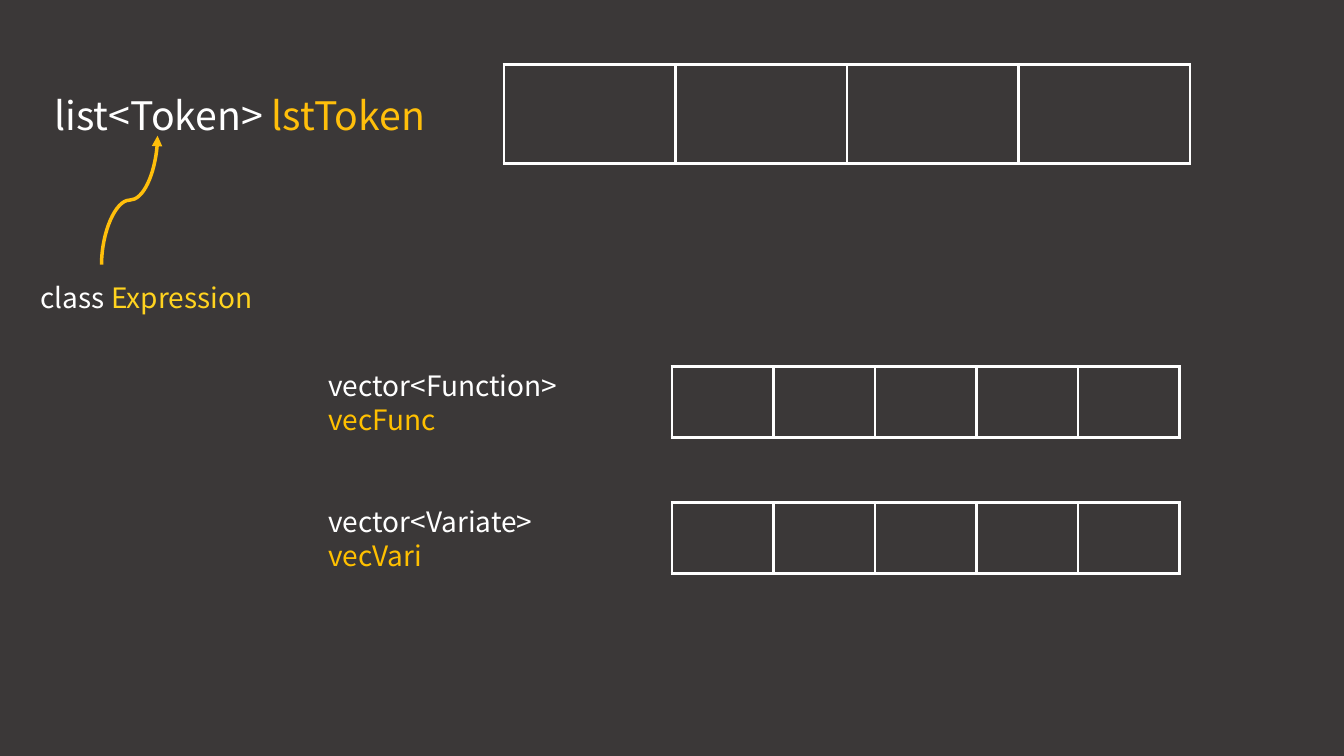
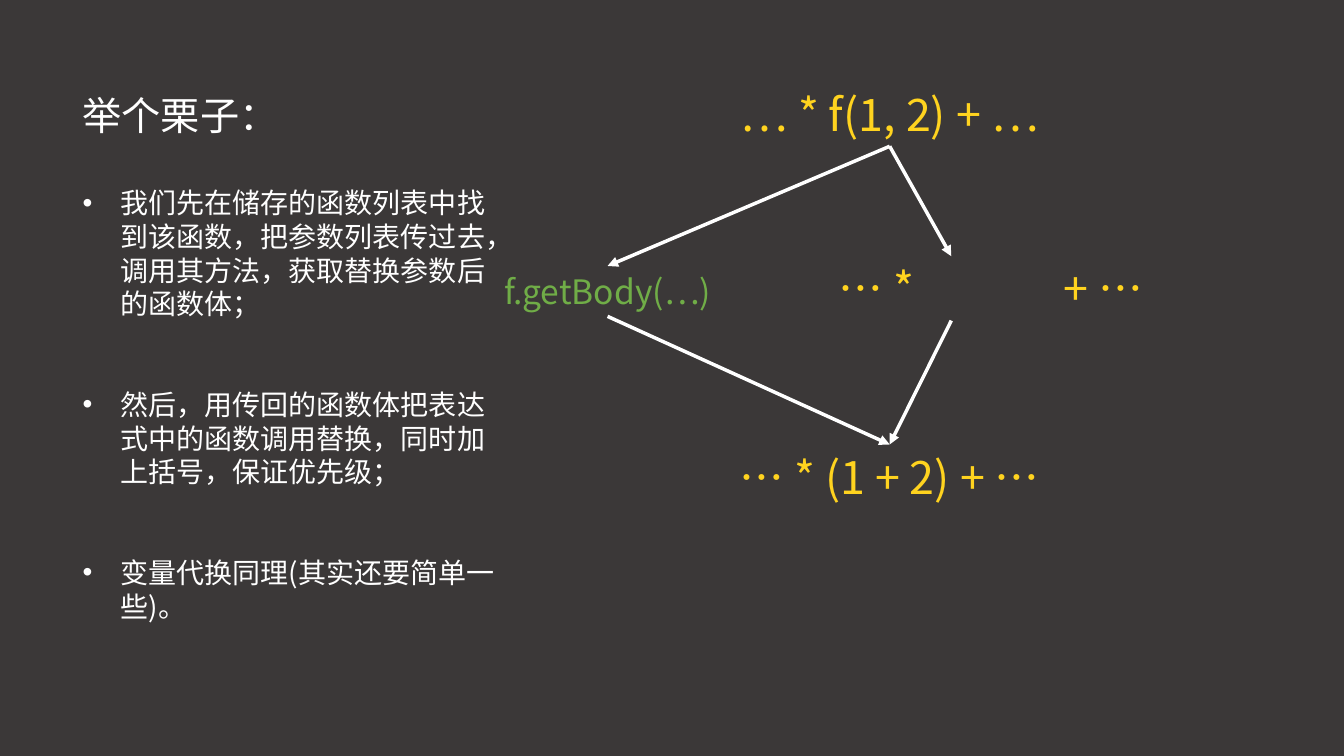
"""Build two slides on token storage and function replacement."""
import lxml.etree
import pptx
import pptx.dml.color
import pptx.enum.dml
import pptx.enum.lang
import pptx.enum.shapes
import pptx.enum.text
import pptx.oxml.ns
import pptx.util

Pt = pptx.util.Pt
RGB = pptx.dml.color.RGBColor
qn = pptx.oxml.ns.qn
ALIGN = pptx.enum.text.PP_ALIGN
LANG = pptx.enum.lang.MSO_LANGUAGE_ID
LINK = pptx.enum.shapes.MSO_CONNECTOR

DARK = RGB(0x3B, 0x38, 0x38)
WHITE = RGB(0xFF, 0xFF, 0xFF)
AMBER = RGB(0xFF, 0xBF, 0x0B)
GOLD = RGB(0xFF, 0xC0, 0x00)
LEMON = RGB(0xFF, 0xD3, 0x1F)
GREEN = RGB(0x70, 0xAD, 0x47)

FACE = "Noto Sans CJK SC"
LEADING = 1.2
INDENT = 27
FORMULA = {"size": Pt(32), "language_id": LANG.SIMPLIFIED_CHINESE}
STEPS = [
    "我们先在储存的函数列表中找到该函数，把参数列表传过去，调用其方法，获取替换参数后的函数体；",
    "然后，用传回的函数体把表达式中的函数调用替换，同时加上括号，保证优先级；",
    "变量代换同理(其实还要简单一些)。",
]


def apply(target, values):
    for name, value in values.items():
        setattr(target, name, value)


def add_node(parent, tag, **values):
    node = lxml.etree.SubElement(parent, qn(tag))
    for name, value in values.items():
        node.set(name, str(value))
    return node


def add_run(para, text, color, font):
    run = para.add_run()
    run.text = text
    apply(run.font, {"name": FACE, **font})
    run.font.color.rgb = color
    add_node(run.font._element, "a:ea", typeface=FACE)
    para.line_spacing = Pt(round(font["size"].pt * LEADING, 1))


def add_text(slide, area, runs, font, align=ALIGN.LEFT):
    box = slide.shapes.add_textbox(*map(Pt, area))
    box.text_frame.word_wrap = True
    para = box.text_frame.paragraphs[0]
    para.alignment = align
    for text, color in runs:
        add_run(para, text, color, font)
    return box


def add_bullet(box, text, gap, font):
    para = box.text_frame.add_paragraph()
    add_run(para, text, WHITE, font)
    para.space_before = Pt(gap)
    props = para._p.get_or_add_pPr()
    props.set("marL", str(Pt(INDENT)))
    props.set("indent", str(Pt(-INDENT)))
    add_node(props, "a:buFont", typeface="Arial")
    add_node(props, "a:buChar", char="•")


def set_tab(box, left, stop):
    props = box.text_frame.paragraphs[0]._p.get_or_add_pPr()
    props.set("marL", str(Pt(left)))
    tabs = add_node(props, "a:tabLst")
    add_node(tabs, "a:tab", pos=Pt(stop), algn="l")


def add_border(cell):
    props = cell._tc.get_or_add_tcPr()
    for place, side in enumerate("LRTB"):
        line = add_node(props, "a:ln" + side, w=Pt(2.25))
        fill = add_node(line, "a:solidFill")
        add_node(fill, "a:srgbClr", val=WHITE)
        props.insert(place, line)


def add_cells(slide, count, area):
    left, top, width, height = map(Pt, area)
    table = slide.shapes.add_table(1, count, left, top, width, height).table
    apply(table, {"first_row": False, "horz_banding": False})
    for cell in table.iter_cells():
        cell.fill.background()
        add_border(cell)


def add_arrow(slide, kind, ends, color):
    arrow = slide.shapes.add_connector(kind, *map(Pt, ends))
    arrow.line.color.rgb = color
    arrow.line.width = Pt(2.5)
    props = arrow._element.spPr
    add_node(props.find(qn("a:ln")), "a:tailEnd", type="triangle")
    add_node(props, "a:effectLst")
    return arrow


def join(slide, start, end):
    arrow = add_arrow(slide, LINK.STRAIGHT, (0, 0, 0, 0), WHITE)
    arrow.begin_connect(start, 2)
    arrow.end_connect(end, 0)


def draw_store(slide):
    large, small = {"size": Pt(28)}, {"size": Pt(20)}
    add_cells(slide, 4, (360, 46, 490, 71))
    add_text(slide, (32, 62, 313, 41),
             [("list<Token> ", WHITE), ("lstToken", AMBER)], large)
    add_text(slide, (22, 196.5, 221, 32),
             [("class ", WHITE), ("Expression", LEMON)], small)
    curve = add_arrow(slide, LINK.CURVE, (138.5, 163, 46.5, 123), AMBER)
    curve._element.spPr.find(qn("a:xfrm")).set("rot", "5400000")
    rows = [("vector<Function> ", "vecFunc"), ("vector<Variate> ", "vecVari")]
    for row, (kind, name) in enumerate(rows):
        top = 260 + 97 * row
        add_text(slide, (227.5, top, 221, 55),
                 [(kind, WHITE), (name, GOLD)], small)
        add_cells(slide, 5, (480, top + 2, 362.5, 50.5))


def draw_swap(slide):
    body = add_text(slide, (52, 62, 311, 400),
                    [("举个栗子：", WHITE)], {"size": Pt(28)})
    for step, text in enumerate(STEPS):
        add_bullet(body, text, 48 if step else 33.6, {"size": Pt(20)})
    latin = {"language_id": LANG.ENGLISH_US}
    call = add_text(slide, (480, 58.5, 311, 46), [("… * f(1, 2) + …", LEMON)],
                    {**FORMULA, **latin}, ALIGN.CENTER)
    fetch = add_text(slide, (332.5, 190, 203, 36), [("f.getBody(…)", GREEN)],
                     {"size": Pt(24), **latin}, ALIGN.CENTER)
    hole = add_text(slide, (524, 183, 311, 46), [("… *\t+ …", LEMON)], FORMULA)
    set_tab(hole, 68, 171)
    result = add_text(slide, (480, 317.5, 311, 46),
                      [("… * (1 + 2) + …", LEMON)], FORMULA, ALIGN.CENTER)
    for middle in (fetch, hole):
        join(slide, call, middle)
        join(slide, middle, result)


def main():
    deck = pptx.Presentation()
    apply(deck, {"slide_width": Pt(960), "slide_height": Pt(540)})
    fill = deck.slide_master.background.fill
    fill.solid()
    fill.fore_color.rgb = DARK
    for draw in (draw_store, draw_swap):
        draw(deck.slides.add_slide(deck.slide_layouts[6]))
    deck.save("out.pptx")


if __name__ == "__main__":
    main()
